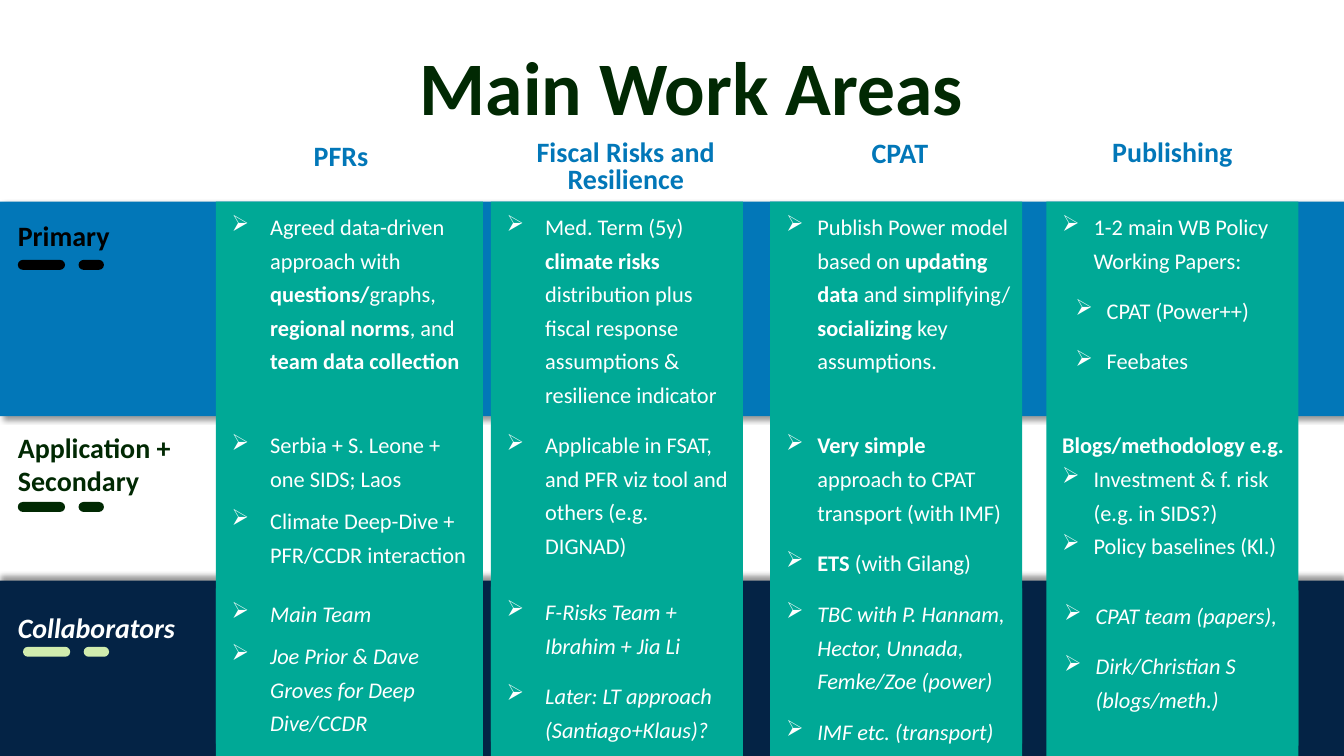
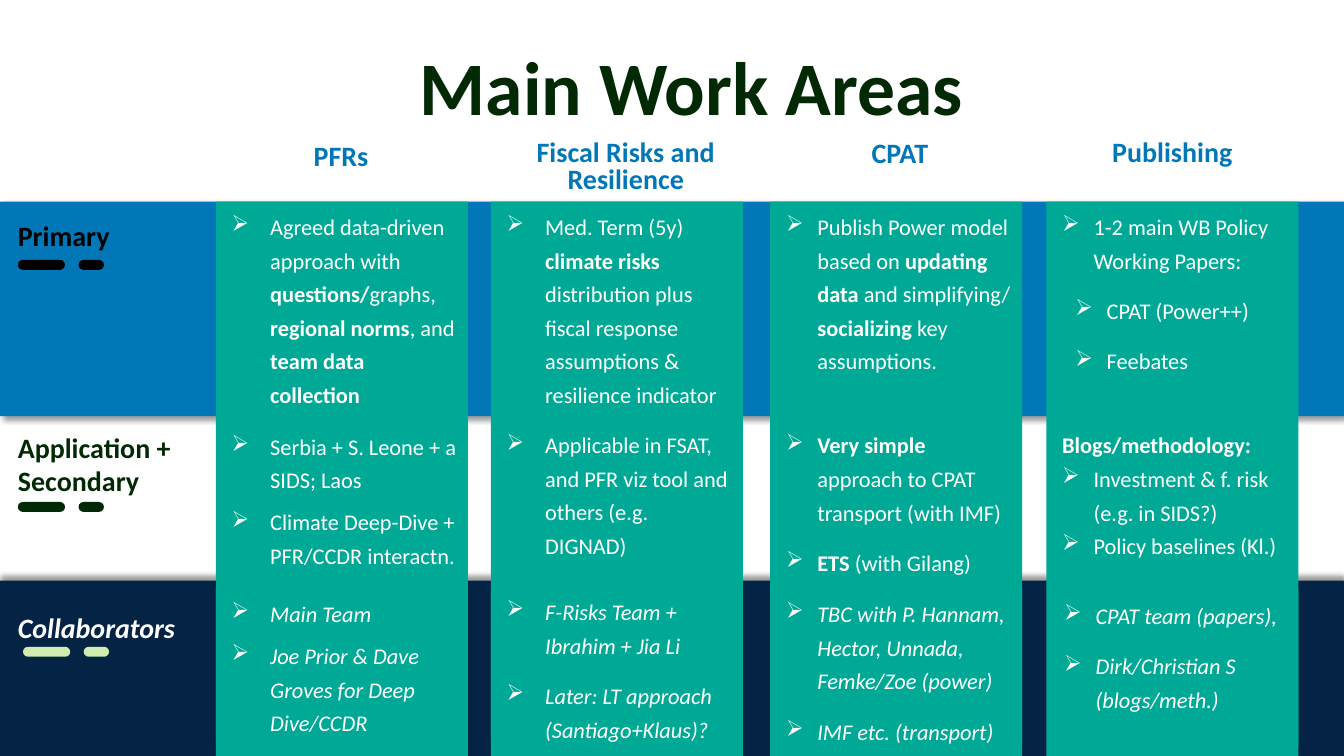
from dataclasses import dataclass

from lxml import etree
from pptx import Presentation
from pptx.dml.color import RGBColor
from pptx.enum.shapes import MSO_SHAPE
from pptx.enum.text import MSO_ANCHOR, PP_ALIGN
from pptx.oxml.ns import qn
from pptx.util import Cm, Pt

RECTANGLE = MSO_SHAPE.RECTANGLE
ROUNDED = MSO_SHAPE.ROUNDED_RECTANGLE
TOP, MIDDLE = MSO_ANCHOR.TOP, MSO_ANCHOR.MIDDLE
LEFT, CENTER = PP_ALIGN.LEFT, PP_ALIGN.CENTER
BLANK_LAYOUT = 6


@dataclass(frozen=True)
class Theme:
    font: str = "Calibri"
    title_size: int = 54
    heading_size: int = 20
    body_size: int = 16
    blue: str = "0277B8"
    navy: str = "042345"
    teal: str = "00A996"
    dark_green: str = "012903"
    pale_green: str = "D1ECAE"
    black: str = "000000"
    white: str = "FFFFFF"


THEME = Theme()
SLIDE_WIDTH, SLIDE_HEIGHT = 33.87, 19.05
GRID_TOP = 5.08


@dataclass(frozen=True)
class Level:
    margin: float
    hanging: float
    bullet: str = "➢"


# Paragraph indents, in centimetres
WIDE = Level(1.12, 0.97)
NARROW = Level(0.94, 0.79)
NESTED = Level(1.27, 0.79)
SUBHEAD = Level(0.15, 0, "")


@dataclass(frozen=True)
class Item:
    """One paragraph; runs are (text, bold) pairs."""
    runs: tuple
    level: Level = NARROW
    after: float = 12


@dataclass(frozen=True)
class Column:
    heading: str
    heading_box: tuple
    left: float
    items: tuple
    collaborators: tuple
    collaborator_top: float = 9.75
    inset: float = 0
    width: float = 6.35


def plain(text, level=NARROW, after=12):
    return Item(((text, False),), level, after)


def color(value):
    return RGBColor.from_string(value)


def add_run(paragraph, text, size, fill, bold=False, italic=False):
    run = paragraph.add_run()
    run.text = text
    font = run.font
    font.name, font.size = THEME.font, Pt(size)
    font.bold, font.italic = bold, italic
    font.color.rgb = color(fill)


def add_shape(shapes, kind, box, fill):
    shape = shapes.add_shape(kind, *(Cm(value) for value in box))
    shape.fill.solid()
    shape.fill.fore_color.rgb = color(fill)
    shape.line.fill.background()
    shape.shadow.inherit = False
    return shape


def add_label(slide, box, text, size, fill, align=LEFT, spacing=1.0,
              anchor=TOP, italic=False):
    frame = slide.shapes.add_textbox(*(Cm(value) for value in box)).text_frame
    frame.word_wrap = True
    frame.vertical_anchor = anchor
    paragraph = frame.paragraphs[0]
    paragraph.alignment = align
    paragraph.line_spacing = spacing
    add_run(paragraph, text, size, fill, bold=True, italic=italic)


def add_band(slide, top, height, fill, angle):
    """Full-width band with a soft shadow cast at the given angle."""
    band = add_shape(slide.shapes, RECTANGLE, (0, top, SLIDE_WIDTH, height), fill)
    effects = band._element.spPr.find(qn("a:effectLst"))
    shadow = etree.SubElement(effects, qn("a:outerShdw"), blurRad=str(Pt(4)),
                              dist=str(Pt(3)), dir=str(angle * 60000),
                              rotWithShape="0")
    tint = etree.SubElement(shadow, qn("a:srgbClr"), val=THEME.black)
    etree.SubElement(tint, qn("a:alpha"), val="40000")


def add_panel(slide, box, items, italic=False):
    """Teal panel filled with bulleted paragraphs."""
    panel = add_shape(slide.shapes, RECTANGLE, box, THEME.teal)
    frame = panel.text_frame
    frame.word_wrap = True
    frame.vertical_anchor = TOP
    for index, item in enumerate(items):
        paragraph = frame.add_paragraph() if index else frame.paragraphs[0]
        properties = paragraph._p.get_or_add_pPr()
        properties.set("marL", str(Cm(item.level.margin)))
        properties.set("indent", str(-Cm(item.level.hanging)))
        if item.level.bullet:
            etree.SubElement(properties, qn("a:buChar"), char=item.level.bullet)
        paragraph.alignment = LEFT
        paragraph.line_spacing = 1.25
        paragraph.space_after = Pt(item.after)
        for text, bold in item.runs:
            add_run(paragraph, text, THEME.body_size, THEME.white, bold, italic)


def add_column(slide, column):
    """Heading, main panel and collaborators panel of one work area."""
    add_label(slide, column.heading_box, column.heading, THEME.heading_size,
              THEME.blue, CENTER, 0.8)
    add_panel(slide, (column.left, GRID_TOP, column.width, SLIDE_HEIGHT - GRID_TOP),
              column.items)
    add_panel(slide, (column.left + column.inset, GRID_TOP + column.collaborator_top,
                      6.35 - column.inset, 3.91), column.collaborators, italic=True)


def add_row_label(slide, box, text, fill, dash_offset, dash_fill, italic=False):
    """Row name with a long and a short dash below it."""
    add_label(slide, box, text, THEME.heading_size, fill, italic=italic)
    dashes = slide.shapes.add_group_shape().shapes
    offset_x, offset_y = dash_offset
    for shift, width in ((0, 1.19), (1.53, 0.64)):
        dash_box = (box[0] + offset_x + shift, box[1] + offset_y, width, 0.25)
        dash = add_shape(dashes, ROUNDED, dash_box, dash_fill)
        dash.adjustments[0] = 0.5


def pfr_column(width, gap, countries, interaction):
    """First work area; gap is the space before its secondary tasks."""
    return Column(
        "PFRs", (5.38, 3.53, 6.43, 0.97), 5.44,
        (Item((("Agreed data-driven approach with ", False), ("questions/", True),
               ("graphs, ", False), ("regional norms", True), (", and ", False),
               ("team data collection", True)), WIDE, gap),
         plain(countries, WIDE, 6),
         plain(interaction, WIDE, 6)),
        (plain("Main Team", WIDE, 6),
         plain("Joe Prior & Dave Groves for Deep Dive/CCDR", WIDE, 6)),
        width=width)


RISK_COLUMN = Column(
    "Fiscal Risks and Resilience", (12.47, 3.43, 6.6, 1.65), 12.37,
    (Item((("Med. Term (5y) ", False), ("climate risks ", True),
           ("distribution plus fiscal response assumptions & resilience indicator",
            False)), WIDE),
     plain("Applicable in FSAT, and PFR viz tool and others (e.g. DIGNAD)", WIDE)),
    (plain("F-Risks Team + Ibrahim + Jia Li", WIDE),
     plain("Later: LT approach (Santiago+Klaus)?", WIDE)),
    collaborator_top=9.7)

CPAT_COLUMN = Column(
    "CPAT", (19.38, 3.45, 6.6, 0.97), 19.41,
    (Item((("Publish Power model based on ", False), ("updating data ", True),
           ("and simplifying/ ", False), ("socializing", True),
           (" key assumptions.", False)), after=36),
     Item((("Very simple ", True), ("approach to CPAT transport (with IMF)", False))),
     Item((("ETS ", True), ("(with Gilang)", False)))),
    (plain("TBC with P. Hannam, Hector, Unnada, Femke/Zoe (power)"),
     plain("IMF etc. (transport)")))


def publishing_column(blog_heading):
    return Column(
        "Publishing", (26.37, 3.43, 6.35, 0.97), 26.37,
        (plain("1-2 main WB Policy Working Papers:"),
         plain("CPAT (Power++)", NESTED),
         plain("Feebates", NESTED, 36),
         Item(((blog_heading, True),), SUBHEAD, 0),
         plain("Investment & f. risk (e.g. in SIDS?)", after=0),
         plain("Policy baselines (Kl.)", after=0)),
        (plain("CPAT team (papers),"),
         plain("Dirk/Christian S (blogs/meth.)")),
        collaborator_top=9.8, inset=0.05)


ROW_LABELS = (
    ((0.2, 5.38, 4.47, 1.12), "Primary", THEME.black,
     (0.25, 1.17), THEME.black, False),
    ((0.2, 10.72, 4.75, 1.96), "Application + Secondary", THEME.dark_green,
     (0.25, 1.93), THEME.dark_green, False),
    ((0.2, 15.27, 5, 1.12), "Collaborators", THEME.white,
     (0.38, 1.03), THEME.pale_green, True),
)

SLIDES = (
    (pfr_column(6.73, 36, "Serbia + S. Leone + one SIDS; Laos",
                "Climate Deep-Dive + PFR/CCDR interaction"),
     RISK_COLUMN, CPAT_COLUMN, publishing_column("Blogs/methodology e.g.")),
    (pfr_column(6.35, 13, "Serbia + S. Leone + a SIDS; Laos",
                "Climate Deep-Dive + PFR/CCDR interactn."),
     RISK_COLUMN, CPAT_COLUMN, publishing_column("Blogs/methodology:")),
)


def add_work_areas_slide(presentation, columns):
    slide = presentation.slides.add_slide(presentation.slide_layouts[BLANK_LAYOUT])
    # Row bands
    add_band(slide, 14.63, 4.42, THEME.navy, 270)
    add_band(slide, GRID_TOP, 5.41, THEME.blue, 45)
    # Title
    add_label(slide, (2.97, 1.02, 28.91, 2.57), "Main Work Areas", THEME.title_size,
              THEME.dark_green, CENTER, 0.9, MIDDLE)
    # Work areas and row names
    for column in columns:
        add_column(slide, column)
    for row_label in ROW_LABELS:
        add_row_label(slide, *row_label)


def main():
    presentation = Presentation()
    presentation.slide_width = Cm(SLIDE_WIDTH)
    presentation.slide_height = Cm(SLIDE_HEIGHT)
    for columns in SLIDES:
        add_work_areas_slide(presentation, columns)
    presentation.save("out.pptx")


if __name__ == "__main__":
    main()
